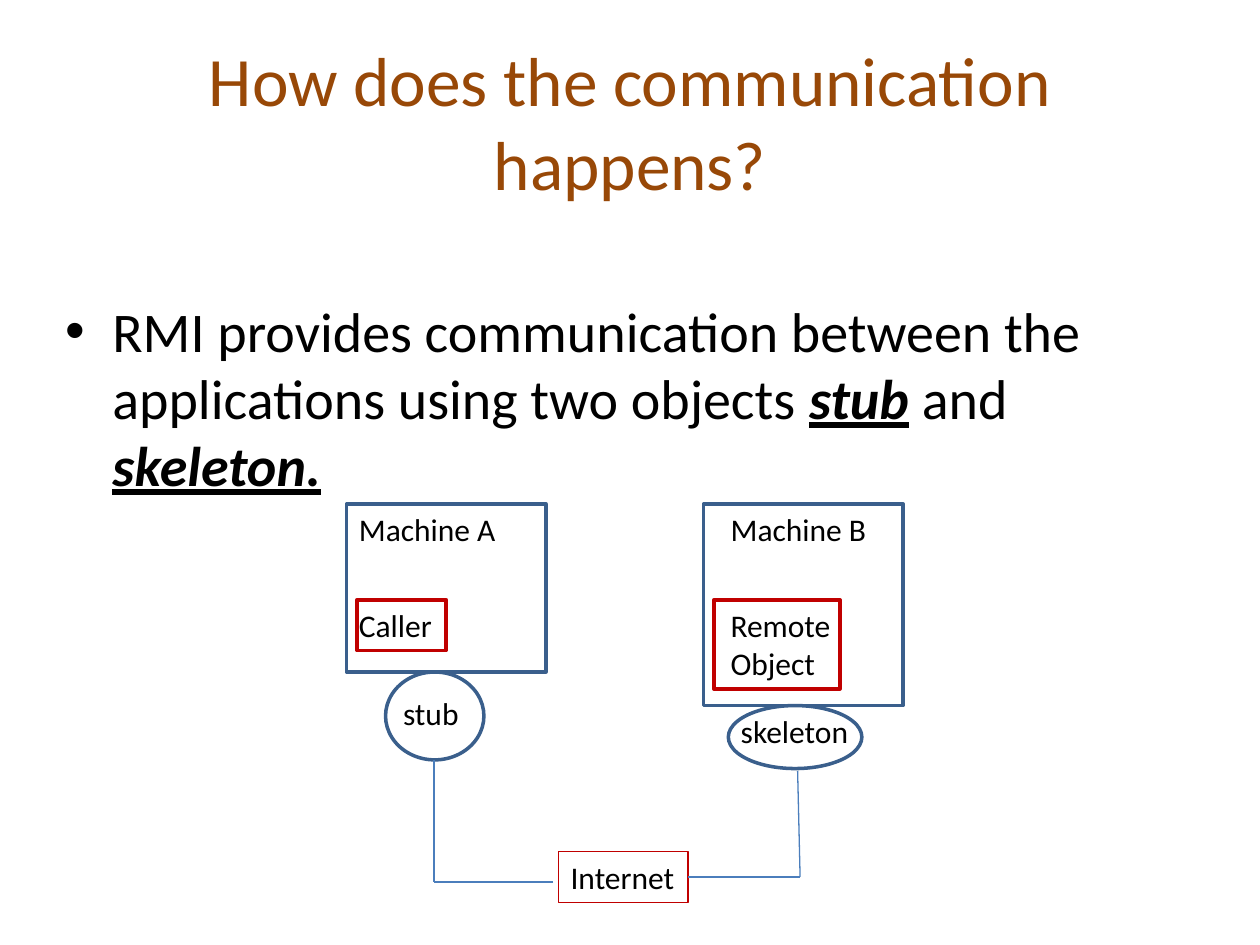
from dataclasses import dataclass
from typing import Optional

from lxml import etree
from pptx import Presentation
from pptx.dml.color import RGBColor
from pptx.enum.shapes import MSO_CONNECTOR, MSO_SHAPE
from pptx.enum.text import MSO_ANCHOR, MSO_AUTO_SIZE, PP_ALIGN
from pptx.oxml.ns import qn
from pptx.util import Pt

RECTANGLE = MSO_SHAPE.RECTANGLE
ELLIPSE = MSO_SHAPE.OVAL
STRAIGHT = MSO_CONNECTOR.STRAIGHT
MIDDLE = MSO_ANCHOR.MIDDLE
TOP = MSO_ANCHOR.TOP
CENTER = PP_ALIGN.CENTER
NO_FIT = MSO_AUTO_SIZE.NONE
GROW = MSO_AUTO_SIZE.SHAPE_TO_FIT_TEXT

FONT = "Calibri"
BROWN = RGBColor(0x98, 0x48, 0x07)
BLACK = RGBColor(0x00, 0x00, 0x00)
RED = RGBColor(0xC0, 0x00, 0x00)
NAVY = RGBColor(0x3A, 0x5F, 0x8C)
BLUE = RGBColor(0x4B, 0x7E, 0xBC)


@dataclass(frozen=True)
class Box:
    left: float
    top: float
    width: float
    height: float

    def lengths(self) -> tuple:
        return Pt(self.left), Pt(self.top), Pt(self.width), Pt(self.height)


@dataclass(frozen=True)
class Label:
    box: Box
    lines: tuple
    wrap: bool = False
    border: Optional[RGBColor] = None


@dataclass(frozen=True)
class Outline:
    box: Box
    color: RGBColor
    preset: MSO_SHAPE = RECTANGLE


@dataclass(frozen=True)
class Phrase:
    text: str
    strong: bool = False
    italic: bool = False


@dataclass(frozen=True)
class Wire:
    start: tuple
    end: tuple


TITLE = "How does the communication happens?"
PHRASES = (
    Phrase("RMI provides communication between the applications using two objects "),
    Phrase("stub", strong=True, italic=True),
    Phrase(" ", italic=True),
    Phrase("and "),
    Phrase("skeleton.", strong=True, italic=True),
)
LABELS = (
    Label(Box(198, 288, 104.4, 29), ("Machine A",), wrap=True),
    Label(Box(410.4, 288, 92.9, 29), ("Machine B",)),
    Label(Box(198, 342.7, 56.9, 29), ("Caller",)),
    Label(Box(410.4, 342.7, 76.3, 51), ("Remote", "Object")),
    Label(Box(223.2, 393.1, 46.8, 29), ("stub",)),
    Label(Box(416.2, 403.2, 76.3, 29), ("skeleton",)),
    Label(Box(319, 486.7, 74.2, 29), ("Internet",), border=RED),
)
OUTLINES = (
    Outline(Box(198, 288, 114, 96), NAVY),
    Outline(Box(204, 342.7, 51, 29), RED),
    Outline(Box(402, 288, 114, 115.2), NAVY),
    Outline(Box(408, 342.7, 72, 51), RED),
    Outline(Box(220.3, 384, 56.2, 50.2), NAVY, ELLIPSE),
    Outline(Box(416.2, 403.2, 76.3, 36), NAVY, ELLIPSE),
)
SKELETON_CORNER = (457.2, 501.1)
STUB_CORNER = (248, 504)
WIRES = (
    Wire((455.8, 440.6), SKELETON_CORNER),
    Wire(SKELETON_CORNER, (393.1, 501.1)),
    Wire((248, 434.2), STUB_CORNER),
    Wire((316.1, 504), STUB_CORNER),
)


def add_run(paragraph, text: str, size: float, color: RGBColor):
    run = paragraph.add_run()
    run.text = text
    run.font.name = FONT
    run.font.size = Pt(size)
    run.font.color.rgb = color
    return run


def place(shape, box: Box) -> None:
    shape.left, shape.top, shape.width, shape.height = box.lengths()


def fill_title(title) -> None:
    place(title, Box(36, 24, 648, 90))
    title.text_frame.auto_size = NO_FIT
    title.text_frame.vertical_anchor = MIDDLE
    heading = title.text_frame.paragraphs[0]
    heading.alignment = CENTER
    add_run(heading, TITLE, 39.6, BROWN)


def fill_body(body) -> None:
    place(body, Box(30, 165.6, 648, 356.4))
    body.text_frame.auto_size = NO_FIT
    body.text_frame.vertical_anchor = TOP
    statement = body.text_frame.paragraphs[0]
    for phrase in PHRASES:
        run = add_run(statement, phrase.text, 32, BLACK)
        run.font.bold = phrase.strong
        run.font.underline = phrase.strong
        run.font.italic = phrase.italic


def draw_label(shapes, label: Label) -> None:
    caption = shapes.add_textbox(*label.box.lengths())
    frame = caption.text_frame
    frame.word_wrap = label.wrap
    frame.auto_size = GROW
    for index, line in enumerate(label.lines):
        paragraph = frame.add_paragraph() if index else frame.paragraphs[0]
        add_run(paragraph, line, 18, BLACK)
    if label.border is not None:
        caption.line.color.rgb = label.border
        caption.line.width = Pt(0.75)


def draw_outline(shapes, outline: Outline) -> None:
    frame = shapes.add_shape(outline.preset, *outline.box.lengths())
    frame.shadow.inherit = False
    frame.fill.background()
    frame.line.color.rgb = outline.color
    frame.line.width = Pt(2)


def draw_wire(shapes, wire: Wire) -> None:
    ends = [Pt(value) for value in wire.start + wire.end]
    connector = shapes.add_connector(STRAIGHT, *ends)
    connector.line.color.rgb = BLUE
    connector.line.width = Pt(0.75)
    etree.SubElement(connector._element.spPr, qn("a:effectLst"))


def main() -> None:
    deck = Presentation()
    deck.slide_width = Pt(720)
    deck.slide_height = Pt(540)
    slide = deck.slides.add_slide(deck.slide_layouts[1])
    fill_title(slide.shapes.title)
    fill_body(slide.placeholders[1])
    for label in LABELS:
        draw_label(slide.shapes, label)
    for outline in OUTLINES:
        draw_outline(slide.shapes, outline)
    for wire in WIRES:
        draw_wire(slide.shapes, wire)
    deck.save("out.pptx")


if __name__ == "__main__":
    main()
